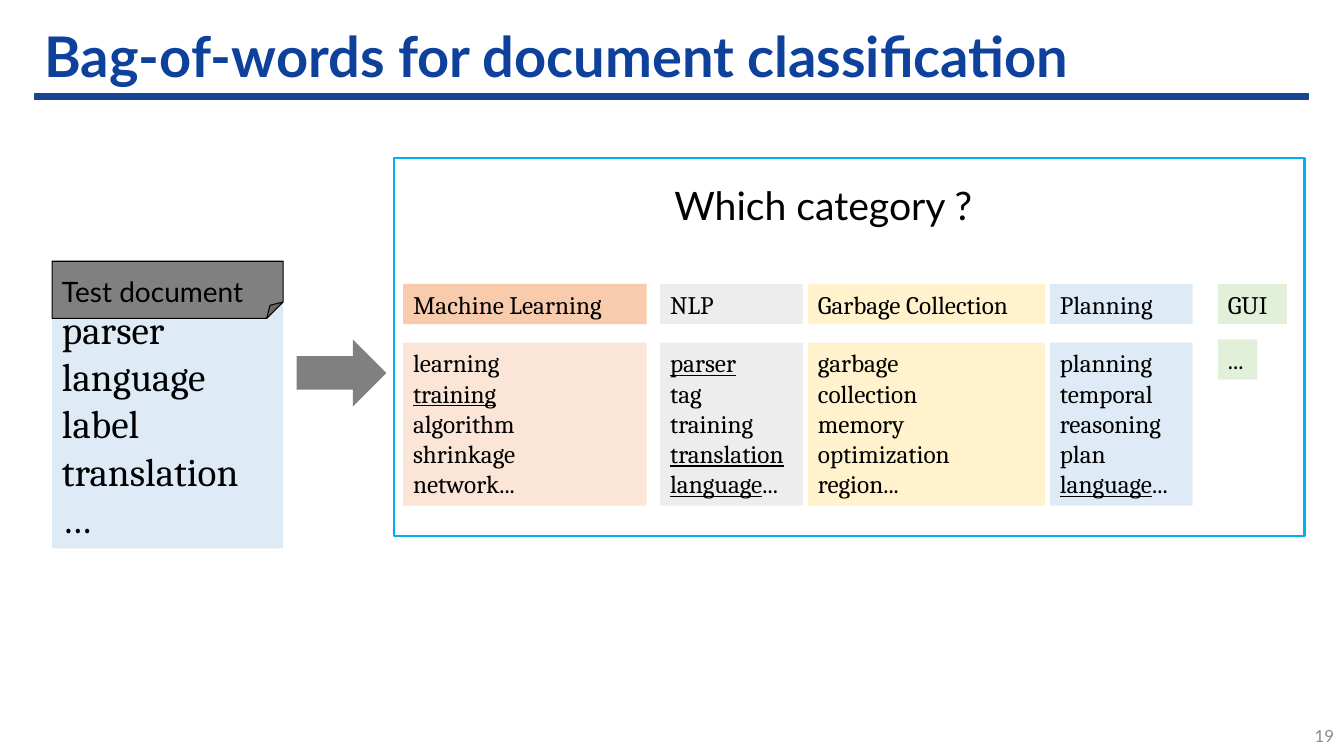
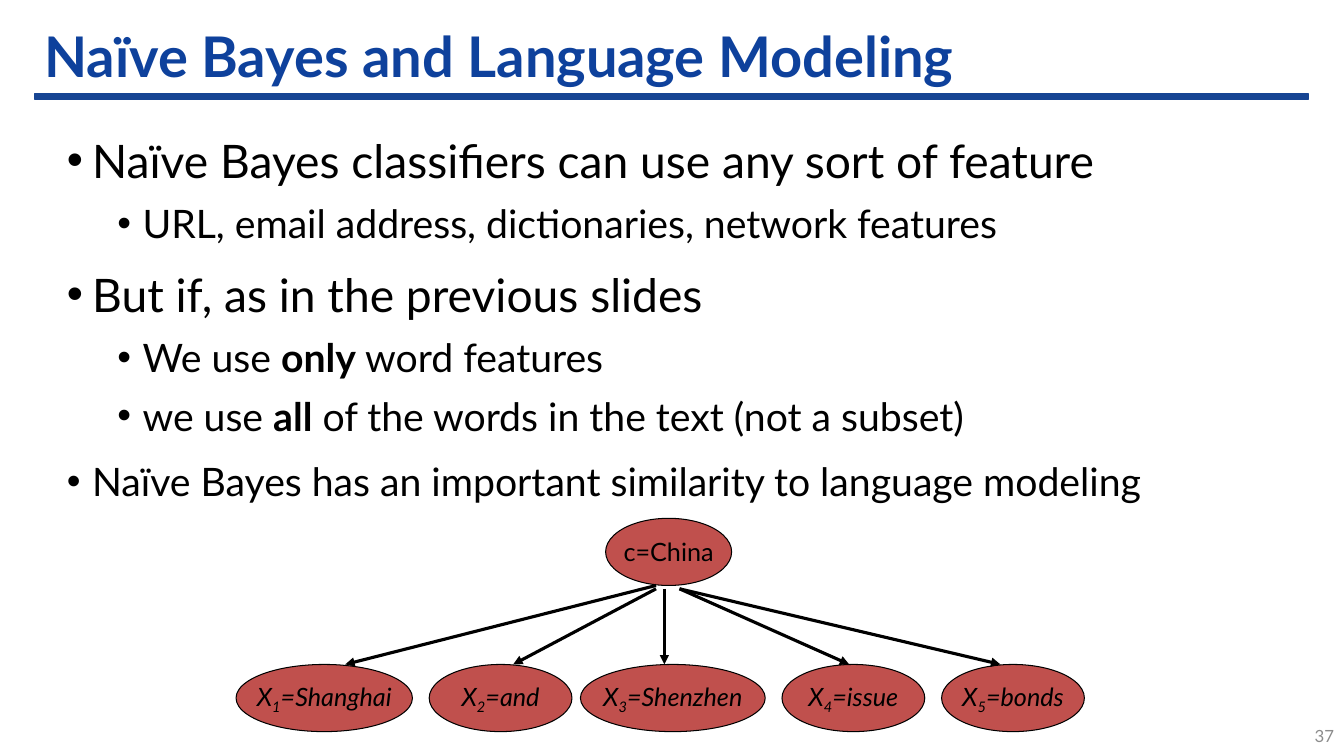
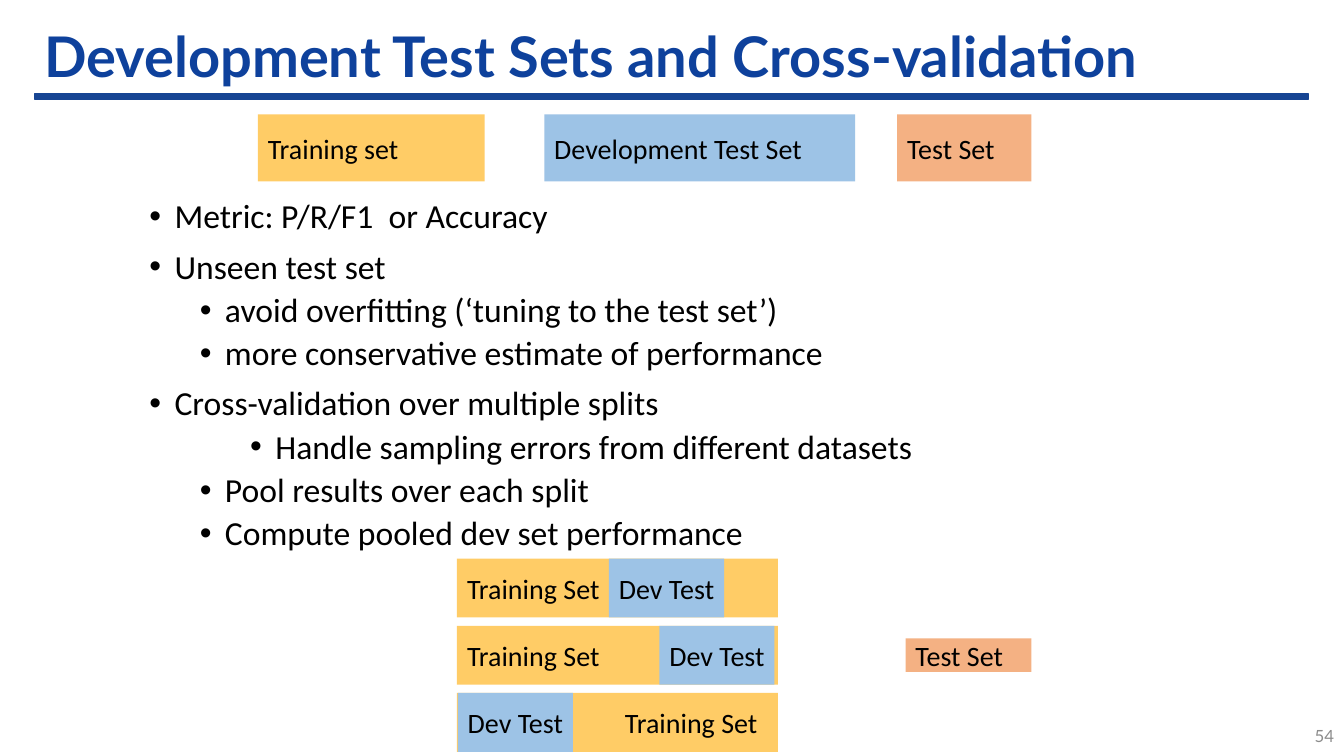
import pptx
import pptx.dml.color
import pptx.enum.shapes
import pptx.enum.text
import pptx.oxml.ns
import pptx.util
from lxml import etree

RGBColor = pptx.dml.color.RGBColor
SHAPE = pptx.enum.shapes.MSO_SHAPE
ANCHOR = pptx.enum.text.MSO_ANCHOR
ALIGN = pptx.enum.text.PP_ALIGN
qn = pptx.oxml.ns.qn

COLUMNS, ROWS = 160, 90
CELL = 1 / 12

BLACK = RGBColor(0x00, 0x00, 0x00)
TITLE_BLUE = RGBColor(0x0E, 0x41, 0x9C)
RULE_BLUE = RGBColor(0x17, 0x45, 0x93)
PANEL_BLUE = RGBColor(0x00, 0xB0, 0xF0)
NUMBER_GRAY = RGBColor(0x8C, 0x8C, 0x8C)
GRAY = RGBColor(0x80, 0x80, 0x80)
PALE_GRAY = RGBColor(0xED, 0xED, 0xED)
PALE_BLUE = RGBColor(0xDE, 0xEB, 0xF7)
PALE_GREEN = RGBColor(0xE2, 0xF0, 0xD9)
PALE_YELLOW = RGBColor(0xFF, 0xF2, 0xCC)
PALE_ORANGE = RGBColor(0xFB, 0xE5, 0xD6)
SOFT_ORANGE = RGBColor(0xF8, 0xCB, 0xAD)
NODE_RED = RGBColor(0xC0, 0x50, 0x4D)
TRAINING_YELLOW = RGBColor(0xFF, 0xCC, 0x66)
DEV_BLUE = RGBColor(0x9D, 0xC3, 0xE6)
TEST_ORANGE = RGBColor(0xF4, 0xB1, 0x83)


def cells(*counts):
    """Turn counts of grid cells into lengths."""
    return [pptx.util.Inches(count * CELL) for count in counts]


def style_font(font, name, size, color=BLACK):
    """Set the face, size and colour of a font."""
    font.name = name
    font.size = pptx.util.Pt(size)
    font.color.rgb = color


def add_runs(paragraph, line):
    """Write a line given as a string or as (text, mark) pairs."""
    for text, mark in [(line, "")] if isinstance(line, str) else line:
        run = paragraph.add_run()
        run.text = text
        if mark == "underline":
            run.font.underline = True
        elif mark == "bold":
            run.font.bold = True
        elif mark == "subscript":
            run._r.get_or_add_rPr().set("baseline", "-25000")


def write_lines(frame, lines, name, size, color=BLACK, align=ALIGN.LEFT):
    """Write one paragraph per line in a single font."""
    frame.word_wrap = False
    for index, line in enumerate(lines):
        paragraph = frame.add_paragraph() if index else frame.paragraphs[0]
        paragraph.alignment = align
        add_runs(paragraph, line)
        style_font(paragraph.font, name, size, color)


def add_block(slide, box, fill=None, line=None, width=0.75, kind=SHAPE.RECTANGLE):
    """Add a flat shape with an optional fill and outline."""
    shape = slide.shapes.add_shape(kind, *cells(*box))
    shape.shadow.inherit = False
    if fill is None:
        shape.fill.background()
    else:
        shape.fill.solid()
        shape.fill.fore_color.rgb = fill
    if line is None:
        shape.line.fill.background()
    else:
        shape.line.color.rgb = line
        shape.line.width = pptx.util.Pt(width)
    return shape


def add_label(slide, box, fill, lines, name, size, anchor=ANCHOR.MIDDLE):
    """Add a filled rectangle holding left-aligned lines."""
    shape = add_block(slide, box, fill)
    shape.text_frame.vertical_anchor = anchor
    write_lines(shape.text_frame, lines, name, size)
    return shape


def add_word_list(slide, box, fill, lines, size=18):
    """Add a box of words set from its top edge."""
    return add_label(slide, box, fill, lines, "Cambria", size, ANCHOR.TOP)


def add_set_label(slide, box, fill, text):
    """Add a box that names a data set."""
    return add_label(slide, box, fill, [text], "Calibri", 20)


def add_node(slide, box, line):
    """Add an outlined ellipse with centred text."""
    shape = add_block(slide, box, NODE_RED, BLACK, kind=SHAPE.OVAL)
    shape.text_frame.vertical_anchor = ANCHOR.MIDDLE
    write_lines(shape.text_frame, [line], "Lato", 18, align=ALIGN.CENTER)
    return shape


def add_arrow(slide, start, end):
    """Add a straight black arrow."""
    straight = pptx.enum.shapes.MSO_CONNECTOR.STRAIGHT
    arrow = slide.shapes.add_connector(straight, *cells(*start, *end))
    arrow.line.color.rgb = BLACK
    arrow.line.width = pptx.util.Pt(2.25)
    properties = arrow.element.spPr
    etree.SubElement(properties.find(qn("a:ln")), qn("a:tailEnd"), type="triangle")
    etree.SubElement(properties, qn("a:effectLst"))


def add_text(slide, box, lines, name, size, color=BLACK, align=ALIGN.LEFT):
    """Add a text box."""
    frame = slide.shapes.add_textbox(*cells(*box)).text_frame
    write_lines(frame, lines, name, size, color, align)
    return frame


def add_bullets(slide, box, items, name, spacing):
    """Add bullets given as (level, size, line)."""
    frame = slide.shapes.add_textbox(*cells(*box)).text_frame
    frame.word_wrap = True
    for index, (level, size, line) in enumerate(items):
        paragraph = frame.add_paragraph() if index else frame.paragraphs[0]
        paragraph.level = level
        paragraph.line_spacing = spacing
        paragraph.space_before = pptx.util.Pt(5 if level else 10)
        properties = paragraph._p.get_or_add_pPr()
        properties.set("marL", str(pptx.util.Inches(0.25 + 0.5 * level)))
        properties.set("indent", str(pptx.util.Inches(-0.25)))
        etree.SubElement(properties, qn("a:buFont"), typeface="Arial")
        etree.SubElement(properties, qn("a:buChar"), char="•")
        add_runs(paragraph, line)
        style_font(paragraph.font, name, size)


def add_titled_slide(presentation, title, number):
    """Add a slide with the shared title, rule and page number."""
    slide = presentation.slides.add_slide(presentation.slide_layouts[5])
    add_block(slide, (4.1, 11.2, 151.7, 0.6), RULE_BLUE, RULE_BLUE, 1)
    heading = slide.shapes.title
    heading.left, heading.top, heading.width, heading.height = cells(4.1, 3.1, 151.7, 8)
    frame = heading.text_frame
    frame.text = title
    frame.vertical_anchor = ANCHOR.MIDDLE
    paragraph = frame.paragraphs[0]
    paragraph.alignment = ALIGN.LEFT
    paragraph.line_spacing = 0.9
    style_font(paragraph.font, "Lato", 40, TITLE_BLUE)
    paragraph.font.bold = True
    page = add_text(slide, (152, 85.2, 8, 4.8), [number], "Lato", 12, NUMBER_GRAY, ALIGN.RIGHT)
    page.vertical_anchor = ANCHOR.MIDDLE
    return slide


def add_folded_note(slide, box, text):
    """Add a grey note with a folded corner."""
    note = add_block(slide, box, GRAY, BLACK, kind=SHAPE.FOLDED_CORNER)
    guides = note.element.spPr.find(qn("a:prstGeom")).get_or_add_avLst()
    etree.SubElement(guides, qn("a:gd"), name="adj", fmla="val 28600")
    note.text_frame.vertical_anchor = ANCHOR.MIDDLE
    note.text_frame.margin_top, note.text_frame.margin_bottom = cells(2.2, 0)
    write_lines(note.text_frame, [text], "Lato", 20)


def build_bag_of_words(presentation):
    """Build the document classification slide."""
    slide = add_titled_slide(presentation, "Bag-of-words for document classification", "19")
    add_block(slide, (46.9, 18.8, 108.4, 45), line=PANEL_BLUE, width=1.5)
    add_text(slide, (79.1, 21, 38.9, 6.8), ["Which category ?"], "Lato", 28)
    categories = [
        (48, 29, SOFT_ORANGE, PALE_ORANGE, "Machine Learning",
         ["learning", [("training", "underline")], "algorithm", "shrinkage", "network..."]),
        (78.6, 17, PALE_GRAY, PALE_GRAY, "NLP",
         [[("parser", "underline")], "tag", "training", [("translation", "underline")],
          [("language", "underline"), ("...", "")]]),
        (96.2, 28.2, PALE_YELLOW, PALE_YELLOW, "Garbage Collection",
         ["garbage", "collection", "memory", "optimization", "region..."]),
        (125, 17, PALE_BLUE, PALE_BLUE, "Planning",
         ["planning", "temporal", "reasoning", "plan",
          [("language", "underline"), ("...", "")]]),
    ]
    for left, width, head_fill, body_fill, name, words in categories:
        add_word_list(slide, (left, 33.8, width, 4.8), head_fill, [name])
        add_word_list(slide, (left, 40.8, width, 19.4), body_fill, words)
    add_word_list(slide, (145, 33.8, 8.2, 4.8), PALE_GREEN, ["GUI"])
    add_word_list(slide, (145, 40.4, 4.7, 4.8), PALE_GREEN, ["..."])

    document_words = ["parser", "language", "label", "translation", "…"]
    add_word_list(slide, (6.2, 35.8, 27.5, 29.5), PALE_BLUE, document_words, 28)
    add_folded_note(slide, (6.2, 31.1, 27.5, 6.8), "Test document")
    add_block(slide, (35.3, 40.4, 10.7, 8), GRAY, kind=SHAPE.RIGHT_ARROW)


def build_language_modeling(presentation):
    """Build the Naïve Bayes slide with its tree of words."""
    slide = add_titled_slide(presentation, "Naïve Bayes and Language Modeling", "37")
    add_bullets(slide, (6.8, 14.5, 145.2, 47.6), [
        (0, 33, "Naïve Bayes classifiers can use any sort of feature"),
        (1, 28, "URL, email address, dictionaries, network features"),
        (0, 33, "But if, as in the previous slides"),
        (1, 28, [("We use ", ""), ("only", "bold"), (" word features", "")]),
        (1, 28, [("we use ", ""), ("all", "bold"),
                 (" of the words in the text (not a subset)", "")]),
        (0, 28, "Naïve Bayes has an important similarity to language modeling"),
    ], "Lato", 1.1)
    leaf_top = 79.1
    add_node(slide, (72.1, 61.7, 15, 8), "c=China")
    leaves = [
        (28.1, 21, "Shanghai", (78.1, 69.7), 41.1),
        (51.1, 17, "and", (78.1, 70.1), 61.1),
        (69.1, 22, "Shenzhen", (79.1, 70.1), 79.1),
        (93.1, 17, "issue", (80.9, 70.1), 101.1),
        (112.1, 17, "bonds", (80.9, 70.1), 119.1),
    ]
    for index, (left, width, word, start, tip) in enumerate(leaves, 1):
        line = [("X", ""), (str(index), "subscript"), (f"={word}", "")]
        leaf = add_node(slide, (left, leaf_top, width, 8), line)
        leaf.text_frame.paragraphs[0].font.italic = True
        add_arrow(slide, start, (tip, leaf_top))


def build_cross_validation(presentation):
    """Build the slide on data splits."""
    slide = add_titled_slide(presentation, "Development Test Sets and Cross-validation", "54")
    for left, width, fill, name in [
        (30.7, 27, TRAINING_YELLOW, "Training set"),
        (64.8, 37, DEV_BLUE, "Development Test Set"),
        (106.8, 16, TEST_ORANGE, "Test Set"),
    ]:
        add_set_label(slide, (left, 13.6, width, 8), fill, name)
    add_bullets(slide, (16.6, 23.2, 116, 42.4), [
        (level, 24, line) for level, line in [
            (0, "Metric: P/R/F1  or Accuracy"),
            (0, "Unseen test set"),
            (1, "avoid overfitting (‘tuning to the test set’)"),
            (1, "more conservative estimate of performance"),
            (0, "Cross-validation over multiple splits"),
            (2, "Handle sampling errors from different datasets"),
            (1, "Pool results over each split"),
            (1, "Compute pooled dev set performance"),
        ]
    ], "Calibri", 0.9)
    for row, (dev_left, text_inset) in enumerate([(72.5, 1.2), (78.5, 1.2), (54.5, 20)]):
        top = 66.5 + 8 * row
        training = add_set_label(slide, (54.4, top, 38.2, 7), TRAINING_YELLOW, "Training Set")
        training.text_frame.margin_left = cells(text_inset)[0]
        add_set_label(slide, (dev_left, top, 13.7, 7), DEV_BLUE, "Dev Test")
    add_set_label(slide, (107.8, 76, 15, 4), TEST_ORANGE, "Test Set")


def main():
    """Build and save the presentation."""
    presentation = pptx.Presentation()
    presentation.slide_width, presentation.slide_height = cells(COLUMNS, ROWS)
    build_bag_of_words(presentation)
    build_language_modeling(presentation)
    build_cross_validation(presentation)
    presentation.save("out.pptx")


if __name__ == "__main__":
    main()
